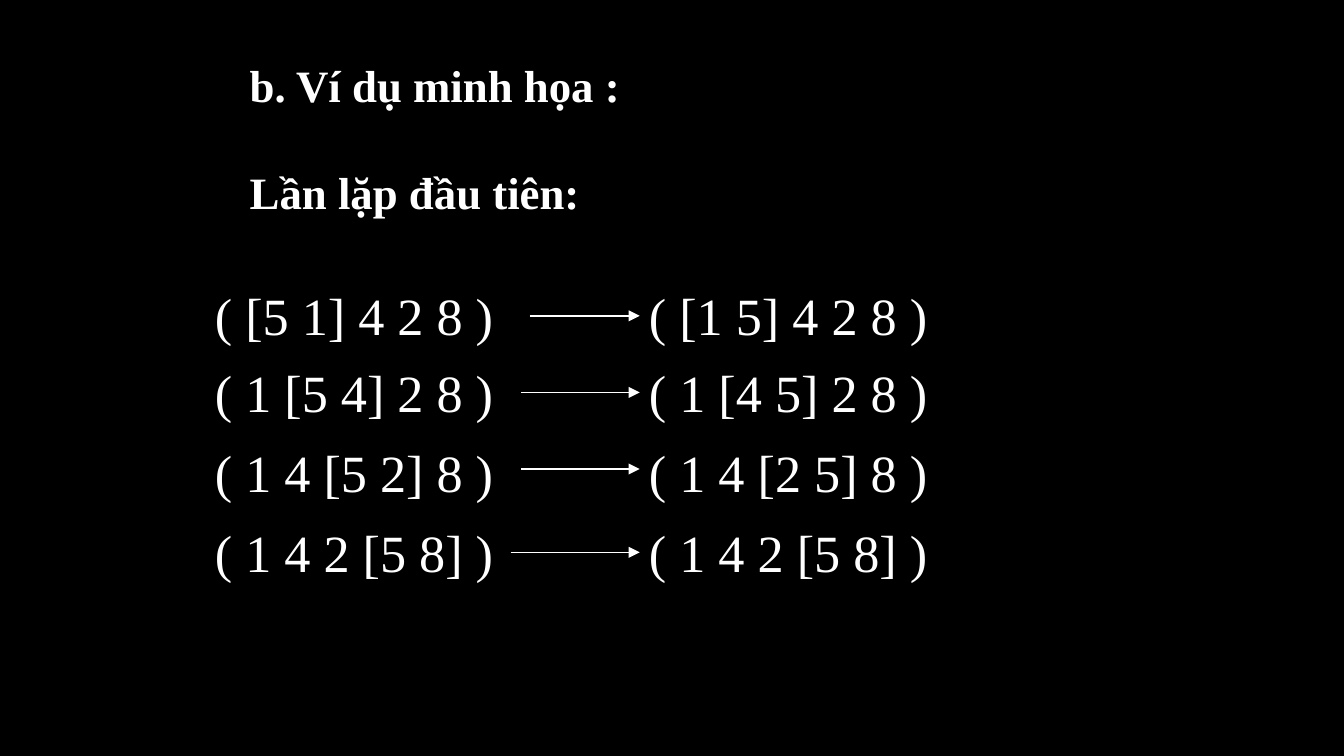
import pptx
import pptx.dml.color
import pptx.enum.dml
import pptx.enum.shapes
import pptx.enum.text
import pptx.oxml
import pptx.oxml.ns
import pptx.util

Inches = pptx.util.Inches
Pt = pptx.util.Pt
FONT = "Times New Roman"
WHITE = "FFFFFF"
BLACK = "000000"
WIDE = 10
TAB = Inches(3.23)
TIP = 4.76
ROWS = [
    (2.06, "( [5 1] 4 2 8 )", "( [1 5] 4 2 8 )", 3.94, 2.35),
    (2.63, "( 1 [5 4] 2 8 )", "( 1 [4 5] 2 8 )", 3.88, 2.92),
    (3.23, "( 1 4 [5 2] 8 )", "( 1 4 [2 5] 8 )", 3.88, 3.49),
    (3.82, "( 1 4 2 [5 8] )", "( 1 4 2 [5 8] )", 3.8, 4.11),
]


def paint(fill, code):
    """Give a fill one solid colour."""
    fill.solid()
    fill.fore_color.rgb = pptx.dml.color.RGBColor.from_string(code)


def add_box(slide, left, top, width, height):
    """Add a wrapping text box and return its frame."""
    box = slide.shapes.add_textbox(
        Inches(left), Inches(top), Inches(width), Inches(height))
    frame = box.text_frame
    frame.word_wrap = True
    frame.auto_size = pptx.enum.text.MSO_AUTO_SIZE.SHAPE_TO_FIT_TEXT
    return frame


def add_run(para, text, size, bold=False):
    """Add a white run to a paragraph."""
    run = para.add_run()
    run.text = text
    run.font.name = FONT
    run.font.size = Pt(size)
    run.font.bold = bold
    paint(run.font.fill, WHITE)


def add_tab(para, place):
    """Set one left tab stop on a paragraph."""
    props = para._p.get_or_add_pPr()
    stops = pptx.oxml.parse_xml(
        f'<a:tabLst {pptx.oxml.ns.nsdecls("a")}>'
        f'<a:tab pos="{place}" algn="l"/></a:tabLst>')
    props.append(stops)


def add_head(slide):
    """Add the title and the name of the pass."""
    frame = add_box(slide, 1.76, 0.38, 4.74, 1.31)
    add_run(frame.paragraphs[0], "b. Ví dụ minh họa :", 24, True)
    para = frame.add_paragraph()
    para.space_before = Pt(28.5)
    add_run(para, "Lần lặp đầu tiên:", 24, True)


def add_arrow(slide, start, end, level):
    """Add a level white arrow."""
    arrow = slide.shapes.add_connector(
        pptx.enum.shapes.MSO_CONNECTOR.STRAIGHT,
        Inches(start), Inches(level), Inches(end), Inches(level))
    arrow.line.width = Pt(0.75)
    paint(arrow.line.fill, WHITE)
    space = pptx.oxml.ns.nsdecls("a")
    arrow.line._get_or_add_ln().append(
        pptx.oxml.parse_xml(f'<a:tailEnd {space} type="triangle"/>'))
    arrow._element.spPr.append(
        pptx.oxml.parse_xml(f'<a:effectLst {space}/>'))


def add_step(slide, top, before, after, start, level):
    """Add one swap step with its arrow."""
    para = add_box(slide, 1.5, top, 6.52, 0.57).paragraphs[0]
    add_tab(para, TAB)
    add_run(para, f"{before}\t{after}", 28)
    add_arrow(slide, start, TIP, level)


def main():
    """Build and save the slide."""
    deck = pptx.Presentation()
    deck.slide_width = Inches(WIDE)
    deck.slide_height = Inches(WIDE * 9 / 16)
    slide = deck.slides.add_slide(deck.slide_layouts[6])
    paint(slide.background.fill, BLACK)
    add_head(slide)
    for row in ROWS:
        add_step(slide, *row)
    deck.save("out.pptx")


if __name__ == "__main__":
    main()
